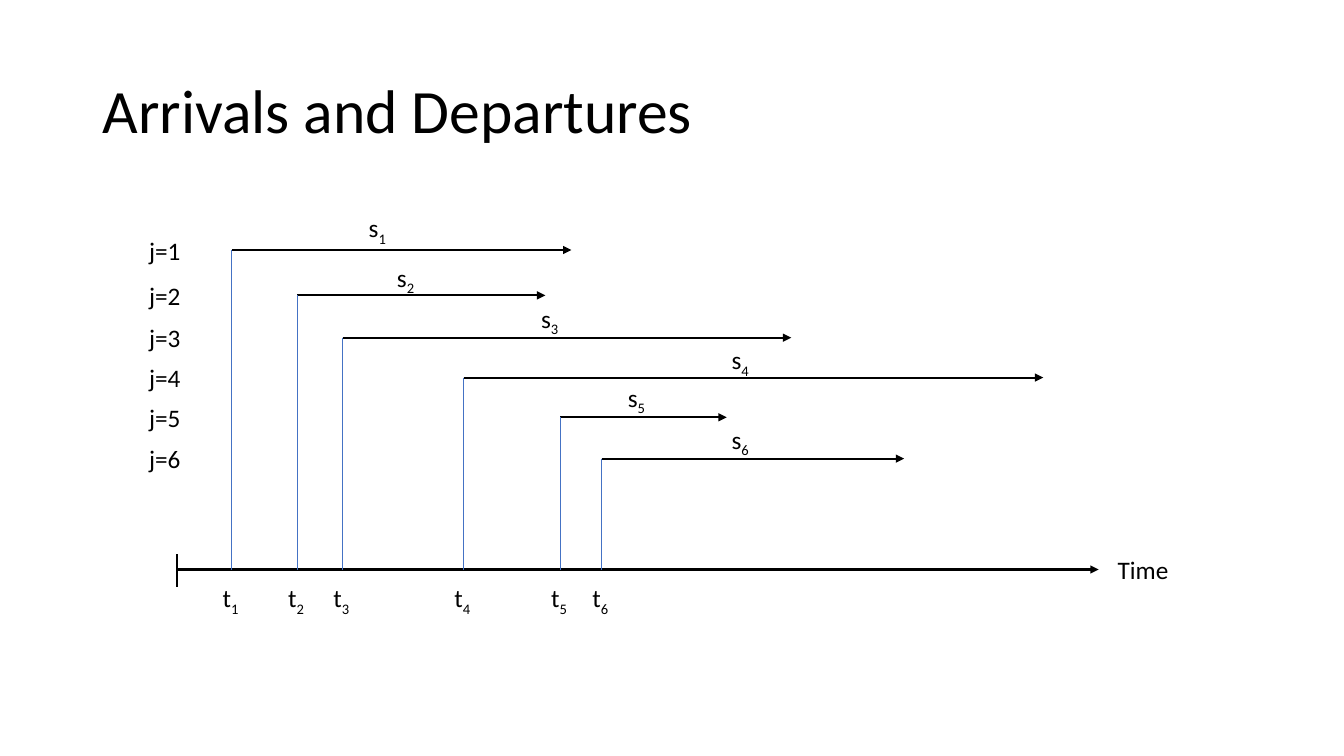
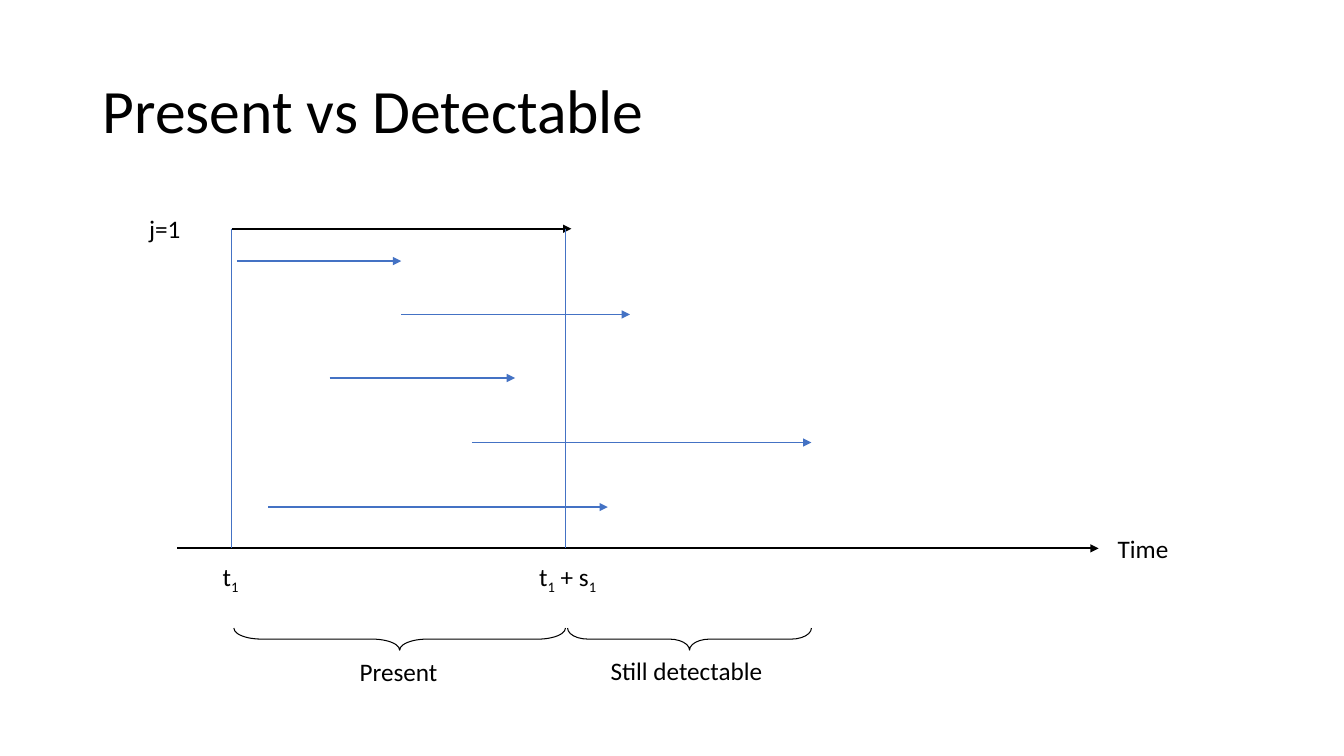
from pptx import Presentation
from pptx.dml.color import RGBColor
from pptx.enum.shapes import MSO_CONNECTOR as Link, MSO_SHAPE as Kind
from pptx.enum.text import MSO_ANCHOR as Anchor
from pptx.oxml.ns import qn
from pptx.util import Pt
from lxml.etree import SubElement

# Shared style
FONT, BLACK, BLUE = "Calibri", "000000", "4472C4"
BODY, HEAD = 18, 44
TITLE = (66.2, 28.8, 828, 104.4)
LEFT, RIGHT = 126.7, 784.8      # ends of the time axis
HIGH = 28.8                     # label height

# Slide 1: arrival, departure, row, then left and top of the s label
VISITS = [
    (165.6, 408.2, 178.6, 256.3, 148.3),
    (212.4, 389.5, 211, 276.5, 183.6),
    (244.8, 565.2, 241.2, 379.4, 213.1),
    (331.2, 745.2, 269.7, 515.5, 242.6),
    (400.3, 519.1, 298.1, 441.4, 269.3),
    (429.8, 645.8, 327.6, 515.5, 299.5),
]
AXIS = 406.8

# Slide 2: one stay, the signals within it, and the spans below the axis
STAY = (165.6, 408.2, 163.4)
LEAVE, BASE = 403.9, 391.7
SIGNALS = [
    (169.2, 286.6, 186.5),
    (286.6, 450, 224.6),
    (235.4, 367.9, 270),
    (337, 579.6, 316.1),
    (191.5, 434.2, 362.2),
]
SPANS = [
    ("Present", 167, 403.9, 249.8, 465.1, 71.3),
    ("Still detectable", 405.4, 579.6, 429.1, 464.4, 127.4),
]
DEPTH, BRACE = 15.8, 448.6      # brace depth and top


def color(code):
    return RGBColor.from_string(code)


def text(slide, words, x, y, w, h=HIGH, size=BODY):
    """Write words; the character after each _ is a subscript."""
    frame = slide.shapes.add_textbox(Pt(x), Pt(y), Pt(w), Pt(h)).text_frame
    frame.word_wrap = True
    para = frame.paragraphs[0]
    first, *rest = words.split("_")
    parts = [(first, False)]
    for part in rest:
        parts += [(part[0], True), (part[1:], False)]
    for part, low in parts:
        if part:
            run = para.add_run()
            run.text = part
            run.font.size, run.font.name = Pt(size), FONT
            run.font.color.rgb = color(BLACK)
            if low:
                run.font._element.set("baseline", "-25000")
    return frame


def line(slide, x1, y1, x2, y2, code=BLACK, width=1.5, arrow=False):
    link = slide.shapes.add_connector(
        Link.STRAIGHT, Pt(x1), Pt(y1), Pt(x2), Pt(y2))
    link.line.color.rgb = color(code)
    link.line.width = Pt(width)
    props = link._element.spPr
    if arrow:
        SubElement(props.find(qn("a:ln")), qn("a:tailEnd"), type="triangle")
    SubElement(props, qn("a:effectLst"))


def start(deck, title, base):
    """Add a slide with its title and time axis."""
    slide = deck.slides.add_slide(deck.slide_layouts[6])
    frame = text(slide, title, *TITLE, size=HEAD)
    frame.vertical_anchor = Anchor.MIDDLE
    frame.paragraphs[0].line_spacing = 0.9
    line(slide, LEFT, base, RIGHT, base, arrow=True)
    text(slide, "Time", 791.3, base - 14.4, 72)
    return slide


def visit(slide, num, begin, end, row, base):
    """Draw one stay with its row label and arrival mark."""
    line(slide, begin, row, end, row, arrow=True)
    line(slide, begin, row, begin, base, BLUE, 0.5)
    text(slide, f"t_{num}", begin - 13.7, base + 5.8, 26.6)
    text(slide, f"j={num}", 99.4, row - 14.4, 38.9)


def brace(slide, begin, end):
    """Draw a brace that points down, as a right brace turned by 90."""
    size = end - begin
    x = (begin + end - DEPTH) / 2
    y = BRACE + (DEPTH - size) / 2
    shape = slide.shapes.add_shape(
        Kind.RIGHT_BRACE, Pt(x), Pt(y), Pt(DEPTH), Pt(size))
    shape.rotation = 90
    shape.adjustments[0] = size / 12 / DEPTH
    shape.shadow.inherit = False
    shape.fill.background()
    shape.line.color.rgb = color(BLACK)
    shape.line.width = Pt(0.75)


def main():
    deck = Presentation()
    deck.slide_width, deck.slide_height = Pt(960), Pt(540)

    # Arrivals
    slide = start(deck, "Arrivals and Departures", AXIS)
    line(slide, LEFT, 396, LEFT, 419)
    for num, (begin, end, row, x, y) in enumerate(VISITS, 1):
        visit(slide, num, begin, end, row, AXIS)
        text(slide, f"s_{num}", x, y, 38.9)

    # Detection
    slide = start(deck, "Present vs Detectable", BASE)
    visit(slide, 1, *STAY, BASE)
    line(slide, LEAVE, STAY[2], LEAVE, BASE, BLUE, 0.5)
    text(slide, "t_1 + s_1", 378, BASE + 5.8, 101.5)
    for begin, end, row in SIGNALS:
        line(slide, begin, row, end, row, BLUE, 1, True)
    for words, begin, end, x, y, width in SPANS:
        brace(slide, begin, end)
        text(slide, words, x, y, width)

    deck.save("out.pptx")


if __name__ == "__main__":
    main()
